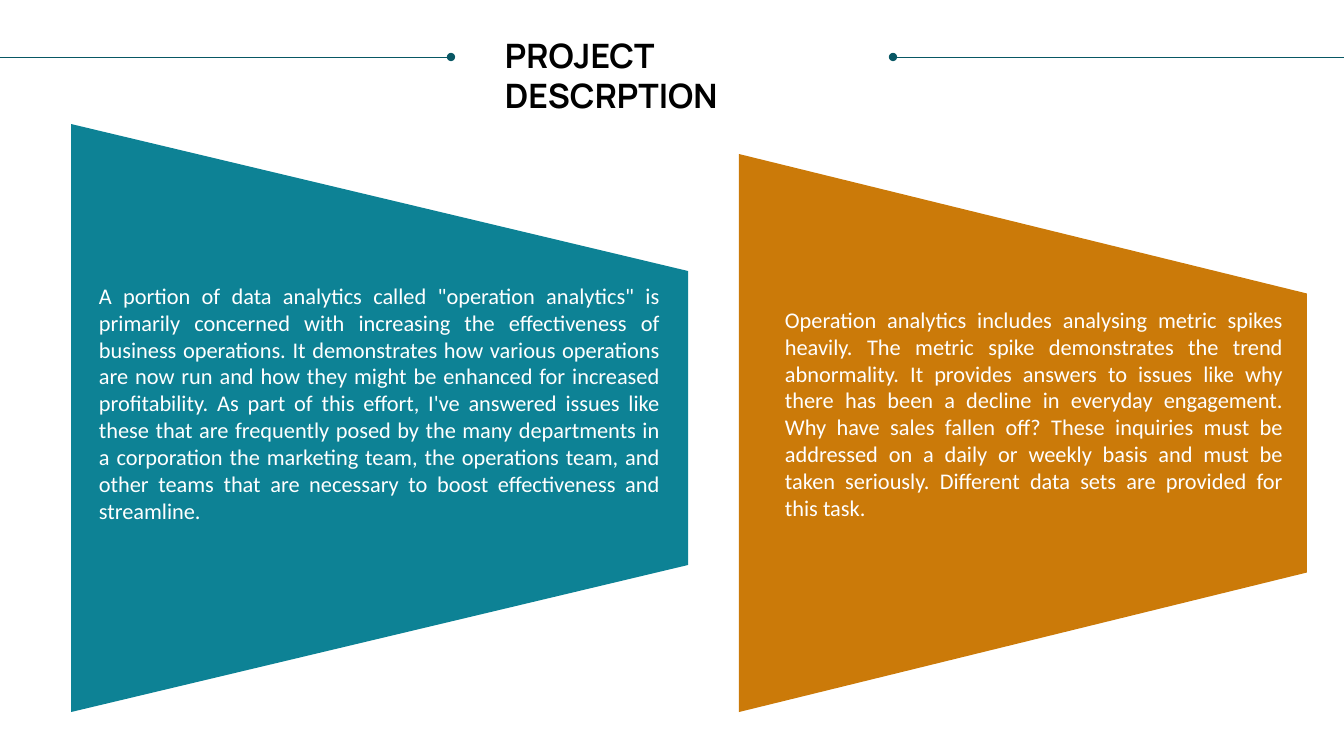
from lxml import etree
from pptx import Presentation
from pptx import util as u
from pptx.dml.color import RGBColor
from pptx.enum import shapes, text
from pptx.oxml.ns import qn

WIDE, HIGH = 1344, 756
SCALE = 914400 / 100.8
TEAL, AMBER, DARK = "0D8295", "CB7A09", "085764"
BLACK, WHITE = "000000", "FFFFFF"

LEFT = (
    "A portion of data analytics called \"operation analytics\" is primarily "
    "concerned with increasing the effectiveness of business operations. It "
    "demonstrates how various operations are now run and how they might be "
    "enhanced for increased profitability. As part of this effort, I've "
    "answered issues like these that are frequently posed by the many "
    "departments in a corporation the marketing team, the operations team, "
    "and other teams that are necessary to boost effectiveness and streamline."
)
RIGHT = (
    "Operation analytics includes analysing metric spikes heavily. The metric "
    "spike demonstrates the trend abnormality. It provides answers to issues "
    "like why there has been a decline in everyday engagement. Why have sales "
    "fallen off? These inquiries must be addressed on a daily or weekly basis "
    "and must be taken seriously. Different data sets are provided for this "
    "task."
)


def px(n):
    """Turn pixels into EMU."""
    return u.Emu(round(n * SCALE))


def rgb(code):
    """Turn a hex string into a colour."""
    return RGBColor.from_string(code)


class Deck:
    """Holds the style and the current slide."""

    def __init__(self, slide):
        """Keep the slide to draw on."""
        self.shapes = slide.shapes

    def rule(self, start, stop, y):
        """Draw a level line with a dot at its stop."""
        line = self.shapes.add_connector(
            shapes.MSO_CONNECTOR.STRAIGHT, px(start), px(y), px(stop), px(y))
        line.line.color.rgb = rgb(DARK)
        line.line.width = u.Pt(0.5)
        etree.SubElement(line.line._get_or_add_ln(), qn("a:tailEnd"), type="oval")
        etree.SubElement(line._element.spPr, qn("a:effectLst"))

    def panel(self, x, y, wide, high, fill):
        """Draw a trapezoid that narrows to the right, by its seen box."""
        shift = (wide - high) / 2
        shape = self.shapes.add_shape(
            shapes.MSO_SHAPE.TRAPEZOID,
            px(x + shift), px(y - shift), px(high), px(wide))
        shape.rotation = 90
        shape.shadow.inherit = False
        shape.fill.solid()
        shape.fill.fore_color.rgb = rgb(fill)
        shape.line.fill.background()

    def label(self, x, y, wide, high, words, size=16, face="Calibri",
              color=WHITE, bold=False, align=text.PP_ALIGN.JUSTIFY):
        """Write one wrapped paragraph."""
        frame = self.shapes.add_textbox(px(x), px(y), px(wide), px(high)).text_frame
        frame.word_wrap = True
        frame.auto_size = text.MSO_AUTO_SIZE.SHAPE_TO_FIT_TEXT
        para = frame.paragraphs[0]
        para.text = words
        para.alignment = align
        para.font.size = u.Pt(size)
        para.font.name = face
        para.font.bold = bold
        para.font.color.rgb = rgb(color)


def main():
    """Build and save the slide."""
    show = Presentation()
    show.slide_width, show.slide_height = px(WIDE), px(HIGH)
    deck = Deck(show.slides.add_slide(show.slide_layouts[6]))

    for edge, dot in ((WIDE, WIDE - 451), (0, 451)):
        deck.rule(edge, dot, 57)
    deck.panel(71, 124, 617, 588, TEAL)
    deck.panel(739, 154, 568, 558, AMBER)

    deck.label(495, 30, 386, 50, "PROJECT DESCRPTION", 24, "Manrope",
               BLACK, True, text.PP_ALIGN.LEFT)
    deck.label(775, 301, 518, 258, RIGHT)
    deck.label(89, 277, 581, 285, LEFT)
    show.save("out.pptx")


main()
